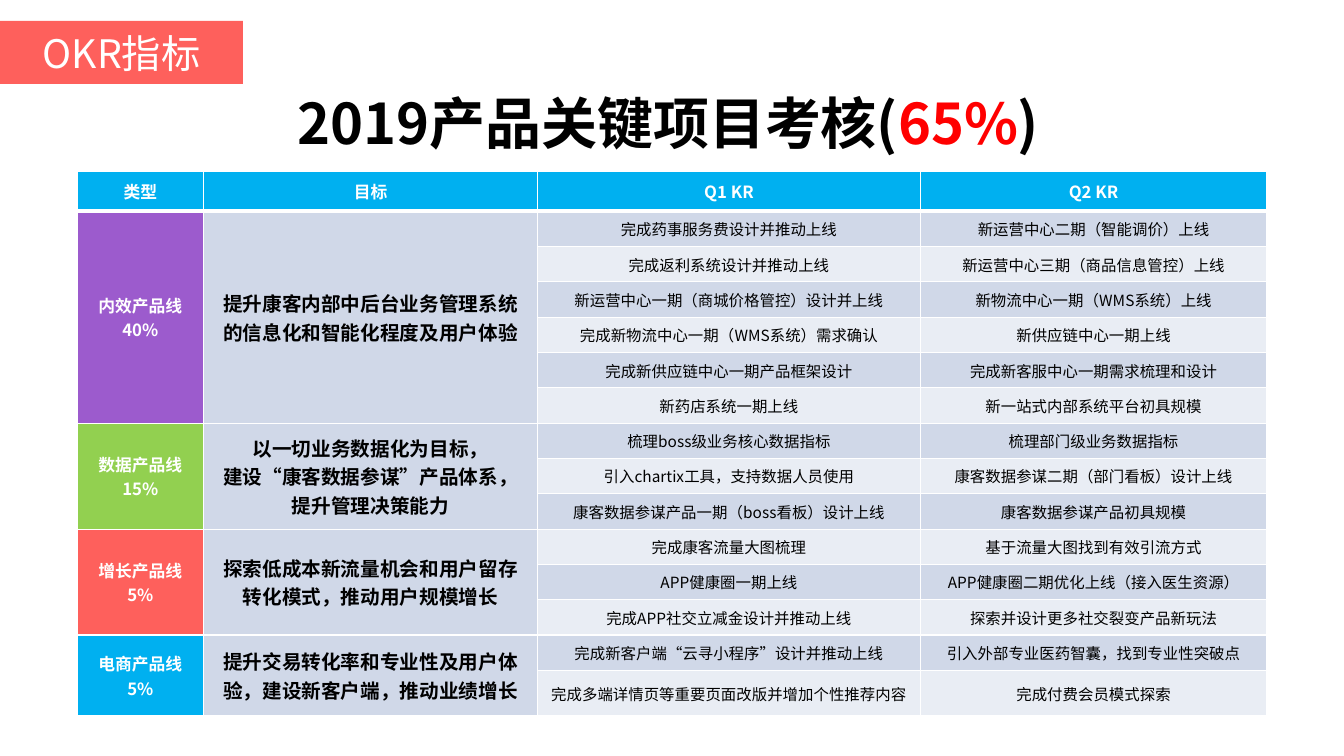
import pptx
import pptx.util
import pptx.dml.color
import pptx.enum.shapes
import pptx.enum.text
import pptx.oxml
import pptx.oxml.ns

Pt = pptx.util.Pt
FONT = "Noto Sans CJK SC"
COLORS = {
    "white": "FFFFFF", "black": "000000", "red": "FF0000",
    "coral": "FE605C", "blue": "00B0F0", "purple": "9C5BCD",
    "green": "92D050", "band_dark": "D0D8E8", "band_light": "E9EDF4",
}


def rgb(name):
    return pptx.dml.color.RGBColor.from_string(COLORS[name])


def write(tf, text, size=11, color="black", bold=False, spacing=None):
    """Fill a text frame; text is a string or a list of (text, color) runs."""
    runs = [(text, color)] if isinstance(text, str) else text
    p = tf.paragraphs[0]
    for part, part_color in runs:
        for i, line in enumerate(part.split("\n")):
            if i:
                p = tf.add_paragraph()
            p.alignment = pptx.enum.text.PP_ALIGN.CENTER
            if spacing:
                p.line_spacing = spacing
            r = p.add_run()
            r.text = line
            r.font.size, r.font.bold, r.font.name = Pt(size), bold, FONT
            r.font.color.rgb = rgb(part_color)
            ea = pptx.oxml.parse_xml(f'<a:ea {pptx.oxml.ns.nsdecls("a")} typeface="{FONT}"/>')
            r.font._element.append(ea)


prs = pptx.Presentation()
prs.slide_width, prs.slide_height = Pt(960), Pt(540)
s = prs.slides.add_slide(prs.slide_layouts[6])

# Section tag
sp = s.shapes.add_shape(pptx.enum.shapes.MSO_SHAPE.RECTANGLE, Pt(0), Pt(15), Pt(173.5), Pt(45))
sp.shadow.inherit = False
sp.fill.solid()
sp.fill.fore_color.rgb = rgb("coral")
sp.line.fill.background()
sp.text_frame.vertical_anchor = pptx.enum.text.MSO_ANCHOR.MIDDLE
write(sp.text_frame, "OKR指标", size=28, color="white")

# Title
sp = s.shapes.add_textbox(Pt(111.6), Pt(66.2), Pt(731.5), Pt(79.2))
sp.text_frame.word_wrap = True
write(sp.text_frame, [("2019产品关键项目考核(", "black"), ("65%", "red"), (")", "black")],
      size=40, bold=True, spacing=0.87)

# Table content: product line, colour, objective, (Q1, Q2) key results
headers = ["类型", "目标", "Q1 KR", "Q2 KR"]
product_lines = [
    ("内效产品线\n40%", "purple", "提升康客内部中后台业务管理系统\n的信息化和智能化程度及用户体验", [
        ("完成药事服务费设计并推动上线", "新运营中心二期（智能调价）上线"),
        ("完成返利系统设计并推动上线", "新运营中心三期（商品信息管控）上线"),
        ("新运营中心一期（商城价格管控）设计并上线", "新物流中心一期（WMS系统）上线"),
        ("完成新物流中心一期（WMS系统）需求确认", "新供应链中心一期上线"),
        ("完成新供应链中心一期产品框架设计", "完成新客服中心一期需求梳理和设计"),
        ("新药店系统一期上线", "新一站式内部系统平台初具规模"),
    ]),
    ("数据产品线\n15%", "green", "以一切业务数据化为目标，\n建设“康客数据参谋”产品体系，\n提升管理决策能力", [
        ("梳理boss级业务核心数据指标", "梳理部门级业务数据指标"),
        ("引入chartix工具，支持数据人员使用", "康客数据参谋二期（部门看板）设计上线"),
        ("康客数据参谋产品一期（boss看板）设计上线", "康客数据参谋产品初具规模"),
    ]),
    ("增长产品线\n5%", "coral", "探索低成本新流量机会和用户留存转化模式，推动用户规模增长", [
        ("完成康客流量大图梳理", "基于流量大图找到有效引流方式"),
        ("APP健康圈一期上线", "APP健康圈二期优化上线（接入医生资源）"),
        ("完成APP社交立减金设计并推动上线", "探索并设计更多社交裂变产品新玩法"),
    ]),
    ("电商产品线\n5%", "blue", "提升交易转化率和专业性及用户体验，建设新客户端，推动业绩增长", [
        ("完成新客户端“云寻小程序”设计并推动上线", "引入外部专业医药智囊，找到专业性突破点"),
        ("完成多端详情页等重要页面改版并增加个性推荐内容", "完成付费会员模式探索"),
    ]),
]

# Table grid
col_widths = [90.5, 238.5, 273.5, 247.5]
row_heights = [28.3] + [25.25] * 13 + [32.6]
table = s.shapes.add_table(len(row_heights), len(col_widths), Pt(55), Pt(122.6),
                           Pt(sum(col_widths)), Pt(sum(row_heights))).table
for col, width in zip(table.columns, col_widths):
    col.width = Pt(width)
for row, height in zip(table.rows, row_heights):
    row.height = Pt(height)

# Base fills, margins and white borders
for i in range(len(row_heights)):
    for j in range(len(col_widths)):
        cell = table.cell(i, j)
        cell.vertical_anchor = pptx.enum.text.MSO_ANCHOR.MIDDLE
        cell.margin_left = cell.margin_right = Pt(7.2)
        cell.margin_top = cell.margin_bottom = Pt(3.6)
        tcPr = cell._tc.get_or_add_tcPr()
        for side in "LRTB":
            thick = (i == 0 and side == "B") or (i == 1 and side == "T")
            tcPr.append(pptx.oxml.parse_xml(
                f'<a:ln{side} {pptx.oxml.ns.nsdecls("a")} w="{Pt(3 if thick else 1)}">'
                f'<a:solidFill><a:srgbClr val="{COLORS["white"]}"/></a:solidFill></a:ln{side}>'))
        cell.fill.solid()
        band = "band_dark" if i % 2 or j == 1 else "band_light"
        cell.fill.fore_color.rgb = rgb(band if i else "blue")

# Table text
for j, header in enumerate(headers):
    write(table.cell(0, j).text_frame, header, size=12, color="white", bold=True)
top = 1
for name, color, objective, key_results in product_lines:
    bottom = top + len(key_results) - 1
    for j in (0, 1):
        table.cell(top, j).merge(table.cell(bottom, j))
    table.cell(top, 0).fill.fore_color.rgb = rgb(color)
    write(table.cell(top, 0).text_frame, name, size=12, color="white", bold=True)
    write(table.cell(top, 1).text_frame, objective, size=14, bold=True)
    for i, quarters in enumerate(key_results, top):
        for j, key_result in enumerate(quarters, 2):
            write(table.cell(i, j).text_frame, key_result)
    top = bottom + 1

prs.save("out.pptx")
